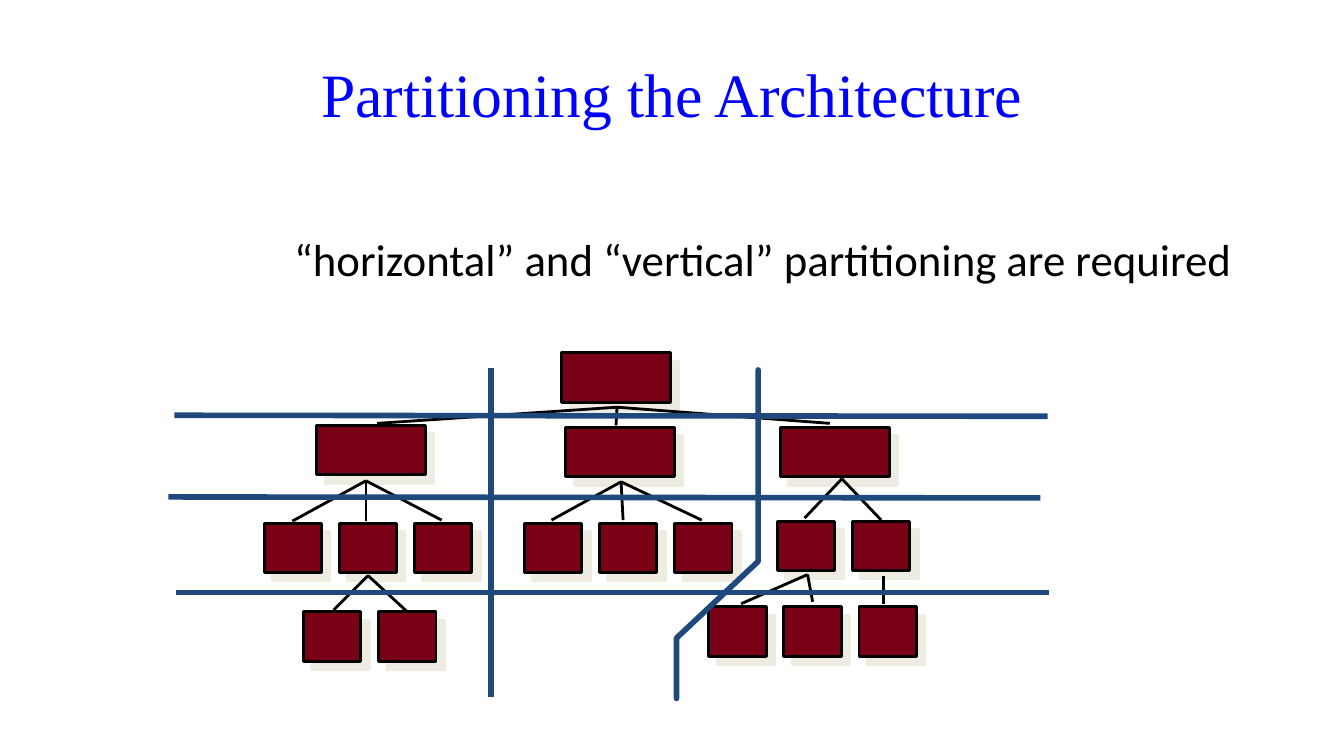
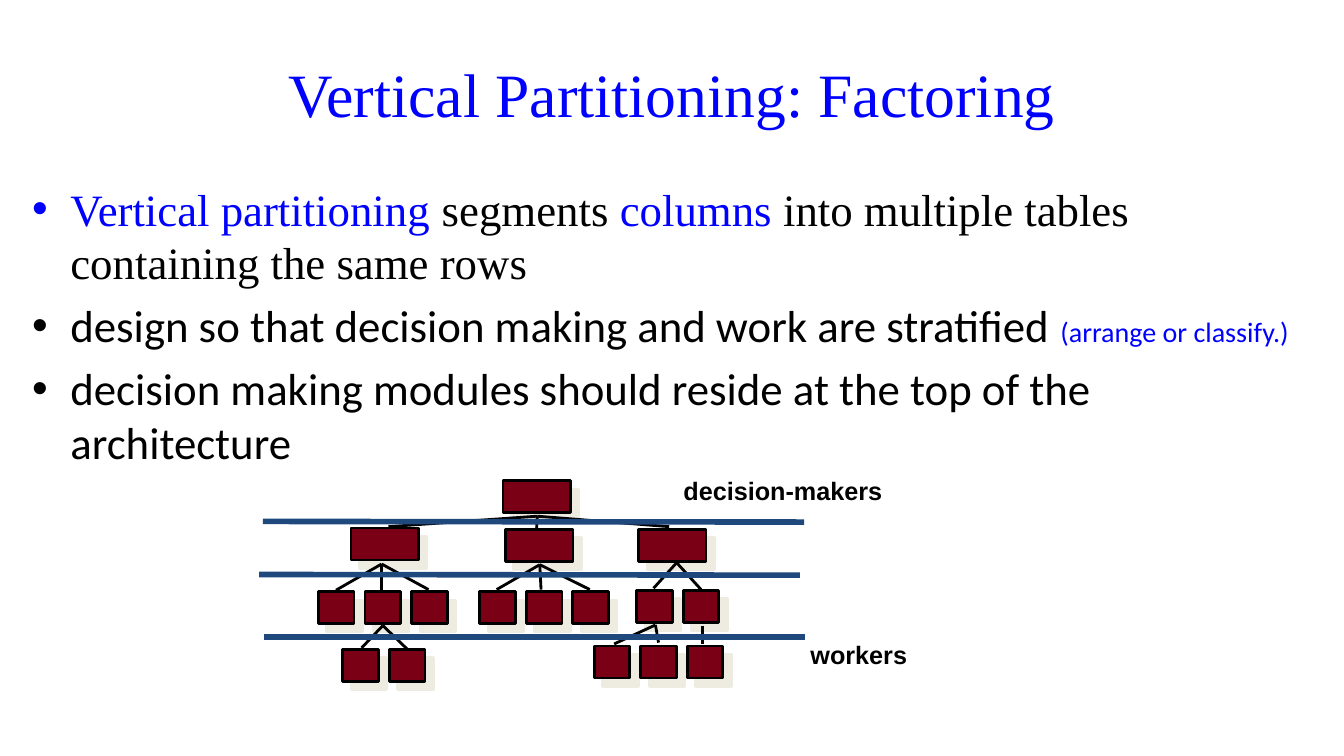
from lxml.etree import SubElement
from pptx import Presentation
from pptx.dml.color import RGBColor
from pptx.enum.shapes import MSO_CONNECTOR, MSO_SHAPE
from pptx.enum.text import MSO_ANCHOR, MSO_AUTO_SIZE, PP_ALIGN
from pptx.oxml.ns import qn
from pptx.util import Inches, Pt

BLUE, BLACK, MAROON, NAVY, CREAM = "0000FF", "000000", "790015", "1F497D", "EEECE1"
SERIF, SANS, LABEL = "Times New Roman", "Calibri", "Arial"
UNIT = 0.1
SIBLING_PITCH = 7.45
WIDE, NARROW, BOX_HEIGHT = 10.8, 5.7, 4.9

MODULE_ROWS = [
    (39, 0, 1, WIDE), (14.7, 7.2, 1, WIDE), (39.4, 7.4, 1, WIDE), (60.7, 7.4, 1, WIDE),
    (9.5, 16.9, 3, NARROW), (35.3, 16.9, 3, NARROW), (60.4, 16.7, 2, NARROW),
    (53.6, 25.2, 3, NARROW), (13.4, 25.7, 2, NARROW),
]
FANS = [
    ((44.5, 5.4), [(20.7, 7), (44.4, 7.2), (65.6, 7)]),
    ((19.6, 12.7), [(12.3, 16.7), (19.6, 16.7), (27.1, 16.6)]),
    ((44.9, 12.8), [(38, 16.6), (45.1, 16.6), (52.9, 16.6)]),
    ((66.8, 12.5), [(63.1, 16.4), (70.7, 16.6)]),
    ((63.4, 22), [(56.8, 24.9), (63.9, 24.7)]),
    ((70.9, 22.1), [(70.9, 24.9)]),
    ((19.8, 22.1), [(16.4, 25.5), (23.7, 25.7)]),
]
LAYER_LINES = [
    ((0, 14.3), (86.5, 14.4)), ((0.8, 23.8), (87.3, 23.8)), ((0.6, 6.2), (87.2, 6.3)),
]


def color(value):
    """Turn a hex string into a colour."""
    return RGBColor.from_string(value)


class Deck:
    """Holds the style, the current slide and the grid in use."""

    def __init__(self):
        """Open a widescreen deck."""
        self.deck = Presentation()
        self.deck.slide_width, self.deck.slide_height = Inches(13.33), Inches(7.5)

    def add_page(self, title):
        """Start a slide with its title."""
        self.page = self.deck.slides.add_slide(self.deck.slide_layouts[6])
        self.shapes = self.page.shapes
        self.use_grid()
        frame = self.add_text((6.7, 3, 120, 12.5), [[(title, 44, SERIF, BLUE)]])
        frame.vertical_anchor = MSO_ANCHOR.MIDDLE
        frame.paragraphs[0].alignment = PP_ALIGN.CENTER

    def use_grid(self, origin=(0, 0), cell=(1, 1)):
        """Choose the grid on which the next elements stand."""
        self.origin, self.cell = origin, cell

    def spot(self, point):
        """Place a column and row on the slide."""
        return [Inches(UNIT * (start + step * place))
                for start, step, place in zip(self.origin, self.cell, point)]

    def area(self, left, top, width, height):
        """Place a block of columns and rows on the slide."""
        size = [Inches(UNIT * step * span) for step, span in zip(self.cell, (width, height))]
        return self.spot((left, top)) + size

    def add_text(self, block, paragraphs):
        """Add a wrapped text box of formatted spans."""
        frame = self.shapes.add_textbox(*self.area(*block)).text_frame
        frame.word_wrap = True
        for index, spans in enumerate(paragraphs):
            para = frame.add_paragraph() if index else frame.paragraphs[0]
            for text, size, font, ink in spans:
                span = para.add_run()
                span.text = text
                span.font.size, span.font.name = Pt(size), font
                span.font.color.rgb = color(ink)
        return frame

    def add_body(self, block, paragraphs, bullet=True):
        """Add indented body text, with bullets if wanted."""
        for para in self.add_text(block, paragraphs).paragraphs:
            para.space_before = Pt(6.4)
            properties = para._p.get_or_add_pPr()
            properties.set("marL", str(Inches(0.38)))
            if bullet:
                properties.set("indent", str(-Inches(0.38)))
                SubElement(properties, qn("a:buFont"), typeface="Arial")
                SubElement(properties, qn("a:buChar"), char="•")

    def add_label(self, block, text):
        """Add a bold label that does not wrap."""
        frame = self.add_text(block, [[(text, 18, LABEL, BLACK)]])
        frame.word_wrap = False
        frame.auto_size = MSO_AUTO_SIZE.SHAPE_TO_FIT_TEXT
        frame.paragraphs[0].runs[0].font.bold = True

    def add_module(self, left, top, width):
        """Add a module box with its offset shadow."""
        box = self.shapes.add_shape(MSO_SHAPE.RECTANGLE, *self.area(left, top, width, BOX_HEIGHT))
        box.fill.solid()
        box.fill.fore_color.rgb = color(MAROON)
        box.line.color.rgb, box.line.width = color(BLACK), Pt(2)
        box.shadow.inherit = False
        effects = box.element.spPr.find(qn("a:effectLst"))
        shadow = SubElement(effects, qn("a:outerShdw"), dist=str(Pt(8.5)), dir=str(45 * 60000),
                            algn="ctr", rotWithShape="0")
        SubElement(shadow, qn("a:srgbClr"), val=CREAM)

    def add_line(self, start, end, ink=BLACK, width=2):
        """Add a straight line between two grid points."""
        line = self.shapes.add_connector(MSO_CONNECTOR.STRAIGHT, *self.spot(start), *self.spot(end))
        line.line.color.rgb, line.line.width = color(ink), Pt(width)
        SubElement(line.element.spPr, qn("a:effectLst"))

    def add_divider(self, points):
        """Add a bent dividing line with round ends."""
        start, *rest = [self.spot(point) for point in points]
        builder = self.shapes.build_freeform(*start)
        builder.add_line_segments(rest, close=False)
        divider = builder.convert_to_shape()
        divider.fill.background()
        divider.line.color.rgb, divider.line.width = color(NAVY), Pt(4)
        divider.shadow.inherit = False
        outline = divider.element.spPr.find(qn("a:ln"))
        outline.set("cap", "rnd")
        SubElement(outline, qn("a:round"))

    def add_architecture(self, origin, cell):
        """Add the grouped module tree with its layer lines."""
        self.shapes = self.page.shapes.add_group_shape().shapes
        self.use_grid(origin, cell)
        for left, top, count, width in MODULE_ROWS:
            for index in range(count):
                self.add_module(left + index * SIBLING_PITCH, top, width)
        for parent, children in FANS:
            for child in children:
                self.add_line(parent, child)
        for start, end in LAYER_LINES:
            self.add_line(start, end, NAVY, 4)


def main():
    """Build and save both slides."""
    deck = Deck()

    deck.add_page("Partitioning the Architecture")
    deck.add_body((24.4, 22.5, 99.4, 45), [
        [("“horizontal” and “vertical” partitioning are required", 32, SANS, BLACK)],
    ], bullet=False)
    deck.add_architecture((16.7, 35), (1, 1))
    deck.add_line((32, 1.5), (32, 34.1), NAVY, 4)
    deck.add_divider([(58.5, 1.7), (58.5, 20.7), (50.4, 28.3), (50.4, 34.3)])

    deck.add_page("Vertical Partitioning: Factoring")
    deck.add_body((2.2, 17.5, 130, 49.5), [
        [("Vertical partitioning ", 32, SERIF, BLUE), ("segments ", 32, SERIF, BLACK),
         ("columns", 32, SERIF, BLUE),
         (" into multiple tables containing the same rows", 32, SERIF, BLACK)],
        [("design so that decision making and work are stratified ", 32, SANS, BLACK),
         ("(arrange or classify.)", 20, SANS, BLUE)],
        [("decision making modules should reside at the top of the architecture",
          32, SANS, BLACK)],
    ])
    deck.add_architecture((25.7, 47.7), (0.62, 0.65))
    deck.use_grid()
    deck.add_label((79.4, 62.9, 11.7, 4), "workers")
    deck.add_label((66.8, 46.7, 21.9, 4), "decision-makers")

    deck.deck.save("out.pptx")


if __name__ == "__main__":
    main()
